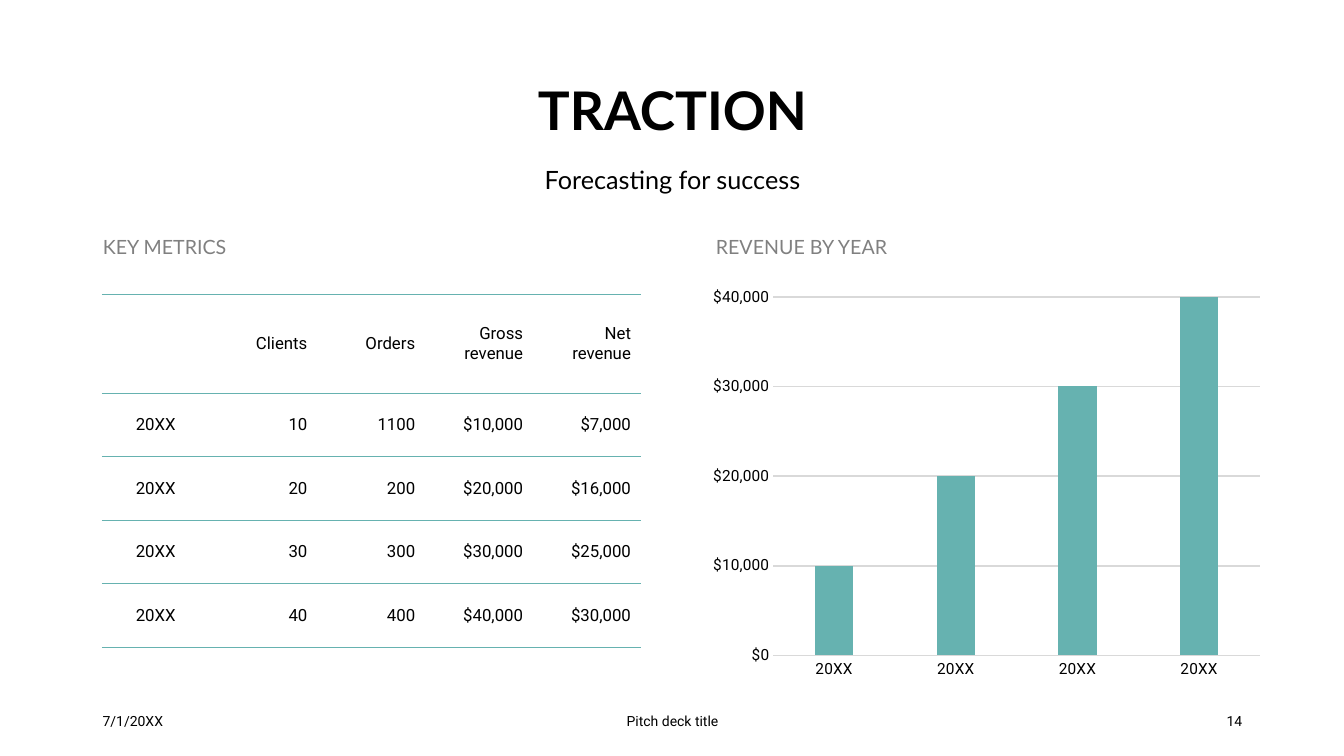
from lxml.etree import SubElement as Sub
from pptx import Presentation
from pptx.chart.data import CategoryChartData as Data
from pptx.dml.color import RGBColor as RGB
from pptx.enum.chart import XL_CHART_TYPE as Kind, XL_TICK_MARK as Tick
from pptx.enum.text import MSO_ANCHOR as Anchor, MSO_AUTO_SIZE as Auto, PP_ALIGN as Align
from pptx.oxml.ns import qn
from pptx.util import Pt

BLACK = RGB(0x00, 0x00, 0x00)
GRAY = RGB(0x80, 0x80, 0x80)
PALE = RGB(0xD9, 0xD9, 0xD9)
TEAL = RGB(0x66, 0xB2, 0xB0)
HEAD = "Lato"
BODY = "Roboto"
PX = 9144


class Deck:
    def __init__(self, wide, high):
        self.prs = Presentation()
        self.prs.slide_width = wide * PX
        self.prs.slide_height = high * PX
        self.slide = self.prs.slides.add_slide(self.prs.slide_layouts[4])
        self.holders = {h.placeholder_format.idx: h for h in self.slide.placeholders}

    def font(self, font, size, name=BODY, color=BLACK, bold=False):
        font.size = Pt(size)
        font.name = name
        font.bold = bold
        font.color.rgb = color

    def text(self, frame, text, align, *style):
        para = frame.paragraphs[0]
        para.text = text
        para.alignment = align
        para.space_before = Pt(0)
        props = para._p.get_or_add_pPr()
        props.set("marL", "0")
        props.set("indent", "0")
        Sub(props, qn("a:buNone"))
        self.font(para.font, *style)
        return para

    def place(self, shape, box):
        shape.left, shape.top, shape.width, shape.height = [n * PX for n in box]

    def holder(self, idx, box, text, align, anchor, space, *style):
        shape = self.holders.pop(idx)
        self.place(shape, box)
        frame = shape.text_frame
        frame.word_wrap = True
        frame.auto_size = Auto.NONE
        frame.vertical_anchor = anchor
        self.text(frame, text, align, *style).line_spacing = space

    def label(self, box, text, align):
        frame = self.slide.shapes.add_textbox(*[n * PX for n in box]).text_frame
        frame.word_wrap = True
        frame.vertical_anchor = Anchor.MIDDLE
        self.text(frame, text, align, 10)

    def rule(self, cell, side):
        line = Sub(cell._tc.get_or_add_tcPr(), qn("a:" + side), w=str(Pt(1)))
        fill = Sub(line, qn("a:solidFill"))
        Sub(fill, qn("a:srgbClr"), val=str(TEAL))

    def table(self, box, rows, highs):
        size = len(rows), len(rows[0])
        table = self.slide.shapes.add_table(*size, *[n * PX for n in box]).table
        table.first_row = table.horz_banding = False
        table._tbl.tblPr[0].text = "{2D5ABB26-0587-4C30-8999-92F81FD0307C}"
        for col in table.columns:
            col.width = box[2] * PX // size[1]
        for r, (row, high) in enumerate(zip(rows, highs)):
            table.rows[r].height = high * PX
            for c, text in enumerate(row):
                cell = table.cell(r, c)
                cell.vertical_anchor = Anchor.MIDDLE
                self.rule(cell, "lnT")
                self.rule(cell, "lnB")
                cell.fill.background()
                align = Align.RIGHT if c else Align.CENTER
                self.text(cell.text_frame, text, align, 12)

    def chart(self, box, cats, vals):
        data = Data(number_format="[$$-409]#,##0")
        data.categories = cats
        data.add_series("Series 1", vals)
        chart = self.slide.shapes.add_chart(
            Kind.COLUMN_CLUSTERED, *[n * PX for n in box], data).chart
        chart.has_legend = chart.has_title = False
        self.font(chart.font, 10)
        plot = chart.plots[0]
        plot.vary_by_categories = False
        plot.gap_width = 219
        plot.overlap = -27
        bars = plot.series[0]
        bars.invert_if_negative = False
        bars.format.fill.solid()
        bars.format.fill.fore_color.rgb = TEAL
        base, scale = chart.category_axis, chart.value_axis
        for axis in base, scale:
            axis.major_tick_mark = axis.minor_tick_mark = Tick.NONE
            self.font(axis.tick_labels.font, 11)
        scale.minimum_scale = 0
        scale.maximum_scale = 40000
        scale.major_unit = 10000
        scale.tick_labels.number_format = "[$$-409]#,##0"
        scale.tick_labels.number_format_is_linked = False
        scale.format.line.fill.background()
        for line in base.format.line, scale.major_gridlines.format.line:
            line.color.rgb = PALE
            line.width = Pt(1.25)

    def save(self):
        for shape in self.holders.values():
            shape._element.getparent().remove(shape._element)
        self.prs.save("out.pptx")


def main():
    deck = Deck(1333, 750)
    deck.holder(0, (172, 77, 990, 70), "TRACTION", Align.CENTER,
                Anchor.MIDDLE, 0.9, 38, HEAD, BLACK, True)
    deck.holder(2, (172, 152, 990, 43), "Forecasting for success", Align.CENTER,
                Anchor.TOP, Pt(26), 18, HEAD)
    heads = (1, 92, 564, "KEY METRICS"), (3, 700, 474, "REVENUE BY YEAR")
    for idx, left, wide, text in heads:
        deck.holder(idx, (left, 219, wide, 43), text, Align.LEFT,
                    Anchor.BOTTOM, 0.9, 14, HEAD, GRAY)
    rows = [
        ("", "Clients", "Orders", "Gross revenue", "Net revenue"),
        ("20XX", "10", "1100", "$10,000", "$7,000"),
        ("20XX", "20", "200", "$20,000", "$16,000"),
        ("20XX", "30", "300", "$30,000", "$25,000"),
        ("20XX", "40", "400", "$40,000", "$30,000"),
    ]
    deck.table((101, 292, 535, 350), rows, [98] + [63] * 4)
    deck.chart((696, 277, 565, 404), ["20XX"] * 4, (10000, 20000, 30000, 40000))
    deck.label((92, 695, 300, 40), "7/1/20XX", Align.LEFT)
    deck.label((442, 695, 450, 40), "Pitch deck title", Align.CENTER)
    deck.label((942, 695, 300, 40), "14", Align.RIGHT)
    deck.save()


if __name__ == "__main__":
    main()
